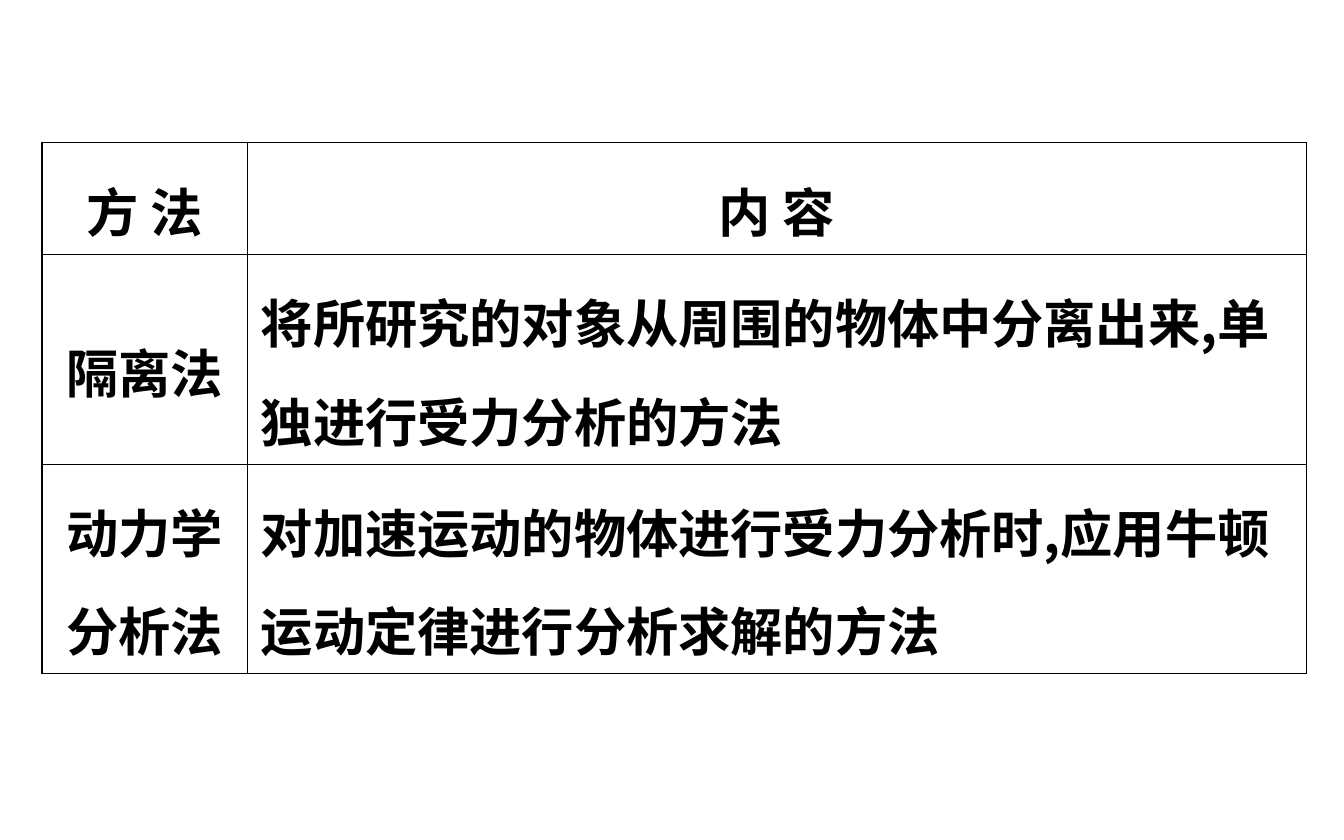
from pptx import Presentation
from pptx.dml.color import RGBColor
from pptx.enum.lang import MSO_LANGUAGE_ID as Lang
from pptx.enum.text import MSO_ANCHOR as Anchor, PP_ALIGN as Align
from pptx.oxml.ns import qn
from pptx.util import Pt
from lxml.etree import SubElement as Sub

BLACK = RGBColor(0, 0, 0)
FONT = "Noto Sans CJK SC"
THICK, THIN = 0.96, 0.45
COLS = [110.2, 567.3]
ROWS = [51.1, 95, 95]
CELLS = [
    [["方 法"], ["内 容"]],
    [["隔离法"], ["将所研究的对象从周围的物体中分离出来,单独进行受力分析的方法"]],
    [["动力学", "分析法"], ["对加速运动的物体进行受力分析时,应用牛顿运动定律进行分析求解的方法"]],
]


class Deck:
    def __init__(self, wide, high):
        self.prs = Presentation()
        self.prs.slide_width, self.prs.slide_height = Pt(wide), Pt(high)
        self.slide = self.prs.slides.add_slide(self.prs.slide_layouts[6])
        self.size = 28

    def run(self, para, text):
        run = para.add_run()
        run.text = text
        font = run.font
        font.size, font.bold, font.name = Pt(self.size), True, FONT
        font.color.rgb = BLACK
        font.language_id = Lang.SIMPLIFIED_CHINESE
        Sub(font._element, qn("a:ea")).set("typeface", FONT)

    def edge(self, cell, side, width):
        line = Sub(cell._tc.get_or_add_tcPr(), qn(f"a:ln{side}"), w=str(int(Pt(width))))
        fill = Sub(line, qn("a:solidFill"))
        Sub(fill, qn("a:srgbClr"), val=str(BLACK))

    def cell(self, cell, lines, align, edges):
        for side, width in edges.items():
            self.edge(cell, side, width)
        cell.fill.background()
        cell.vertical_anchor = Anchor.MIDDLE
        frame = cell.text_frame
        for i, text in enumerate(lines):
            para = frame.add_paragraph() if i else frame.paragraphs[0]
            para.alignment, para.line_spacing = align, 1.3
            self.run(para, text)

    def table(self, left, top, cols, rows, cells):
        frame = self.slide.shapes.add_table(
            len(rows), len(cols), Pt(left), Pt(top), Pt(sum(cols)), Pt(sum(rows)))
        table = frame.table
        table.first_row = table.horz_banding = False
        for col, width in zip(table.columns, cols):
            col.width = Pt(width)
        for row, height in zip(table.rows, rows):
            row.height = Pt(height)
        for r, line in enumerate(cells):
            for c, text in enumerate(line):
                outer = {"L": c == 0, "R": c == len(cols) - 1,
                         "T": r == 0, "B": r == len(rows) - 1}
                edges = {side: THICK if out else THIN for side, out in outer.items()}
                align = Align.LEFT if r and c else Align.CENTER
                self.cell(table.cell(r, c), text, align, edges)


def main():
    deck = Deck(720, 450)
    deck.table(22.4, 76.3, COLS, ROWS, CELLS)
    deck.prs.save("out.pptx")


if __name__ == "__main__":
    main()
